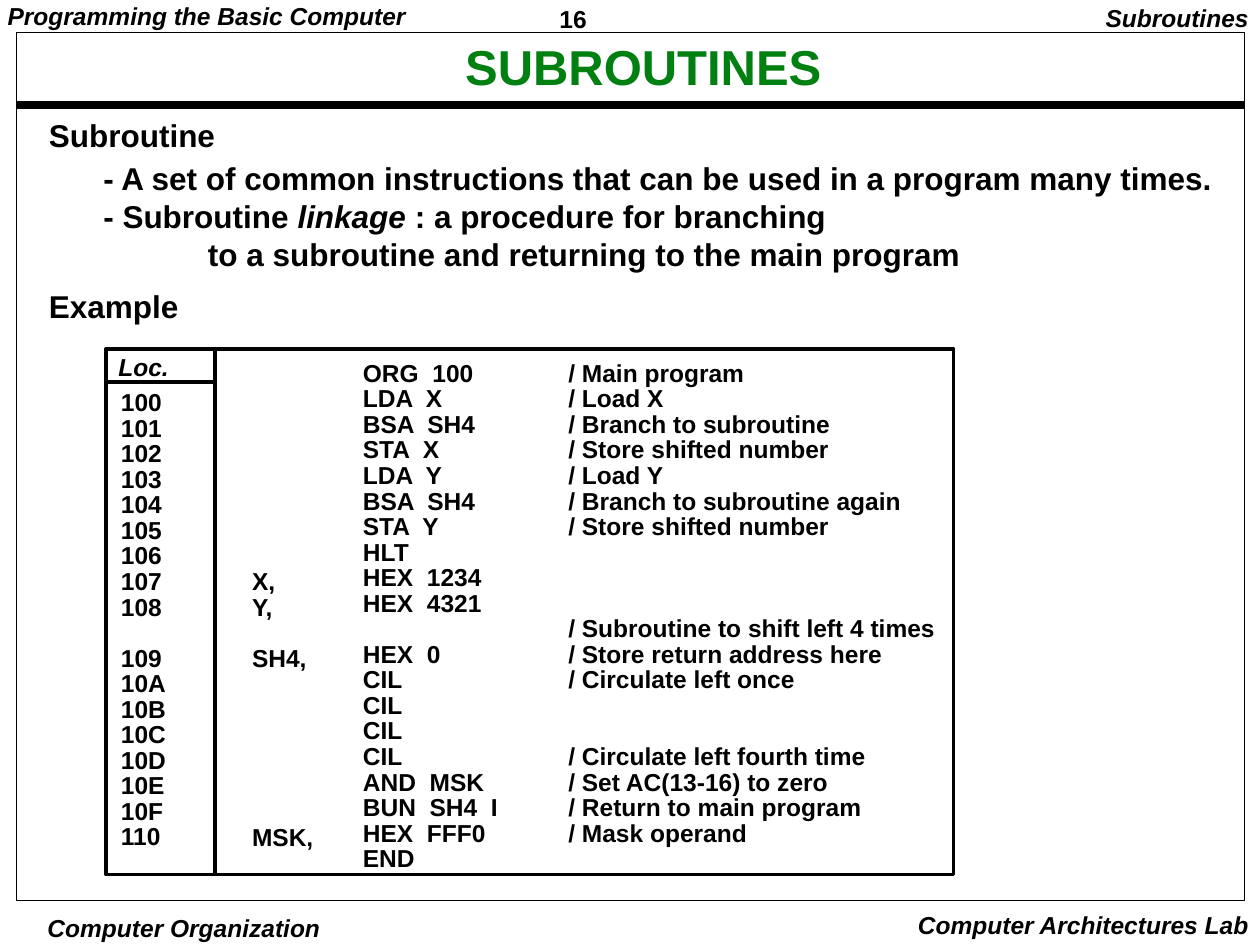
import pptx
import pptx.util
import pptx.dml.color
import pptx.enum.shapes
import pptx.enum.text
import pptx.oxml.ns
import lxml.etree

INK, GREEN = "000000", "008011"
ALIGN = pptx.enum.text.PP_ALIGN
inch = pptx.util.Inches

TITLE = "SUBROUTINES"
POINTS = [
    [("- A set of common instructions that can be used in a program many times.", False)],
    [("- Subroutine ", False), ("linkage ", True), (": a procedure for branching", False)],
    [("to a subroutine and returning to the main program", False)],
]
CAPTIONS = [
    ("16", (4.37, 0, 1.08, 0.29), 14, False, ALIGN.LEFT, 1.01, (0.07, 0.03)),
    ("Programming the Basic Computer", (-0.01, 0, 3.3, 0.27), 14, True, ALIGN.LEFT, 0.9, (0.07, 0.03)),
    ("Computer Organization", (0.35, 7.24, 2.22, 0.26), 14, True, ALIGN.CENTER, 1, (0, 0.01)),
    ("Computer Architectures Lab", (7.18, 7.17, 2.83, 0.33), 14, True, ALIGN.RIGHT, 1, (0.1, 0.05)),
    ("Subroutines", (8.67, 0, 1.34, 0.31), 14, True, ALIGN.RIGHT, 0.9, (0.1, 0.05)),
    ("Subroutine", (0.29, 0.9, 1.52, 0.37), 18, False, ALIGN.LEFT, 0.9, (0.1, 0.05)),
    ("Example", (0.29, 2.26, 1.23, 0.37), 18, False, ALIGN.LEFT, 0.9, (0.1, 0.05)),
    ("Loc.", (0.87, 2.77, 0.54, 0.28), 14, True, ALIGN.LEFT, 0.97, (0.07, 0.03)),
]
PROGRAM = [
    ("", "", "ORG  100", "/ Main program"),
    ("100", "", "LDA  X", "/ Load X"),
    ("101", "", "BSA  SH4", "/ Branch to subroutine"),
    ("102", "", "STA  X", "/ Store shifted number"),
    ("103", "", "LDA  Y", "/ Load Y"),
    ("104", "", "BSA  SH4", "/ Branch to subroutine again"),
    ("105", "", "STA  Y", "/ Store shifted number"),
    ("106", "", "HLT", ""),
    ("107", "X,", "HEX  1234", ""),
    ("108", "Y,", "HEX  4321", ""),
    ("", "", "", "/ Subroutine to shift left 4 times"),
    ("109", "SH4,", "HEX  0", "/ Store return address here"),
    ("10A", "", "CIL", "/ Circulate left once"),
    ("10B", "", "CIL", ""),
    ("10C", "", "CIL", ""),
    ("10D", "", "CIL", "/ Circulate left fourth time"),
    ("10E", "", "AND  MSK", "/ Set AC(13-16) to zero"),
    ("10F", "", "BUN  SH4  I", "/ Return to main program"),
    ("110", "MSK,", "HEX  FFF0", "/ Mask operand"),
    ("", "", "END", ""),
]
COLUMNS = [(0.89, 0.5), (1.93, 1.11), (2.81, 1.21), (4.44, 3.05)]
LISTING_TOP, LISTING_SIZE, LISTING_SPACING = 2.84, 14, 0.87
FRAMES = [((0.13, 0.26, 9.75, 6.89), 0.5), ((0.84, 2.77, 6.73, 4.17), 2)]
RULES = [
    ((0.13, 0.83, 9.87, 0.83), 4.5),
    ((1.71, 2.78, 1.71, 6.94), 2.25),
    ((0.86, 3.03, 1.71, 3.03), 2.25),
]


def color(value):
    return pptx.dml.color.RGBColor.from_string(value)


def assign(target, values):
    for key, value in values.items():
        setattr(target, key, value)


def pitch(size, spacing):
    return size * 1.2 * spacing


def place(part, area):
    assign(part, dict(zip(("left", "top", "width", "height"), map(inch, area))))


def prepare(part, insets, align=ALIGN.LEFT, wrap=False, lead=0):
    side, edge = insets
    assign(part.text_frame, {
        "word_wrap": wrap,
        "auto_size": pptx.enum.text.MSO_AUTO_SIZE.NONE,
        "vertical_anchor": pptx.enum.text.MSO_ANCHOR.MIDDLE if wrap
        else pptx.enum.text.MSO_ANCHOR.TOP,
        "margin_left": inch(0 if align == ALIGN.RIGHT else side),
        "margin_right": inch(0 if align == ALIGN.LEFT else side),
        "margin_top": inch(edge + lead),
        "margin_bottom": 0,
    })


def write(paragraph, runs, size, spacing, align=ALIGN.LEFT, ink=INK, before=0):
    assign(paragraph, {
        "alignment": align,
        "line_spacing": pptx.util.Pt(pitch(size, spacing)),
        "space_before": pptx.util.Pt(before),
        "space_after": pptx.util.Pt(0),
    })
    for words, italic in runs:
        run = paragraph.add_run()
        run.text = words
        assign(run.font, {"name": "Arial", "size": pptx.util.Pt(size), "bold": True, "italic": italic})
        run.font.color.rgb = color(ink)


def next_paragraph(frame, index):
    return frame.add_paragraph() if index else frame.paragraphs[0]


def stroke(part, weight):
    part.line.color.rgb = color(INK)
    part.line.width = pptx.util.Pt(weight)


def add_frame(slide, area, weight):
    frame = slide.shapes.add_shape(pptx.enum.shapes.MSO_SHAPE.RECTANGLE, *map(inch, area))
    frame.shadow.inherit = False
    frame.fill.background()
    stroke(frame, weight)


def add_rule(slide, ends, weight):
    rule = slide.shapes.add_connector(pptx.enum.shapes.MSO_CONNECTOR.STRAIGHT, *map(inch, ends))
    stroke(rule, weight)
    lxml.etree.SubElement(rule._element.spPr, pptx.oxml.ns.qn("a:effectLst"))


def add_points(body):
    place(body, (0.75, 1.23, 8.96, 0.96))
    prepare(body, (0.07, 0.03), wrap=True)
    body.text_frame.vertical_anchor = pptx.enum.text.MSO_ANCHOR.TOP
    for index, runs in enumerate(POINTS):
        paragraph = next_paragraph(body.text_frame, index)
        write(paragraph, runs, 18, 1.01)
        properties = paragraph._p.get_or_add_pPr()
        properties.set("marL", str(inch(0.83 if index == 2 else 0)))
        properties.set("indent", "0")
        lxml.etree.SubElement(properties, pptx.oxml.ns.qn("a:buNone"))


def add_listing_column(slide, entries, left, width):
    step = pitch(LISTING_SIZE, LISTING_SPACING)
    filled = [(row, words) for row, words in enumerate(entries) if words]
    first, last = filled[0][0], filled[-1][0]
    lead = first * step / 72 + (0.03 if first else 0)
    height = (last + 1) * step / 72 + 0.06
    column = slide.shapes.add_textbox(*map(inch, (left, LISTING_TOP, width, height)))
    prepare(column, (0.07, 0.03), wrap=True, lead=lead)
    column.text_frame.vertical_anchor = pptx.enum.text.MSO_ANCHOR.TOP
    previous = first - 1
    for index, (row, words) in enumerate(filled):
        write(next_paragraph(column.text_frame, index), [(words, False)], LISTING_SIZE,
              LISTING_SPACING, before=(row - previous - 1) * step)
        previous = row


def main():
    deck = pptx.Presentation()
    assign(deck, {"slide_width": inch(10), "slide_height": inch(7.5)})
    slide = deck.slides.add_slide(deck.slide_layouts[1])
    title, body = slide.placeholders
    place(title, (0.89, 0.32, 8.43, 0.46))
    prepare(title, (0, 0), ALIGN.CENTER, wrap=True)
    write(title.text_frame.paragraphs[0], [(TITLE, False)], 28, 0.9, ALIGN.CENTER, GREEN)
    add_points(body)
    for area, weight in FRAMES:
        add_frame(slide, area, weight)
    for ends, weight in RULES:
        add_rule(slide, ends, weight)
    for words, area, size, italic, align, spacing, insets in CAPTIONS:
        caption = slide.shapes.add_textbox(*map(inch, area))
        prepare(caption, insets, align, wrap=True)
        caption.text_frame.vertical_anchor = pptx.enum.text.MSO_ANCHOR.TOP
        write(caption.text_frame.paragraphs[0], [(words, italic)], size, spacing, align)
    for entries, (left, width) in zip(zip(*PROGRAM), COLUMNS):
        add_listing_column(slide, entries, left, width)
    deck.save("out.pptx")


if __name__ == "__main__":
    main()
